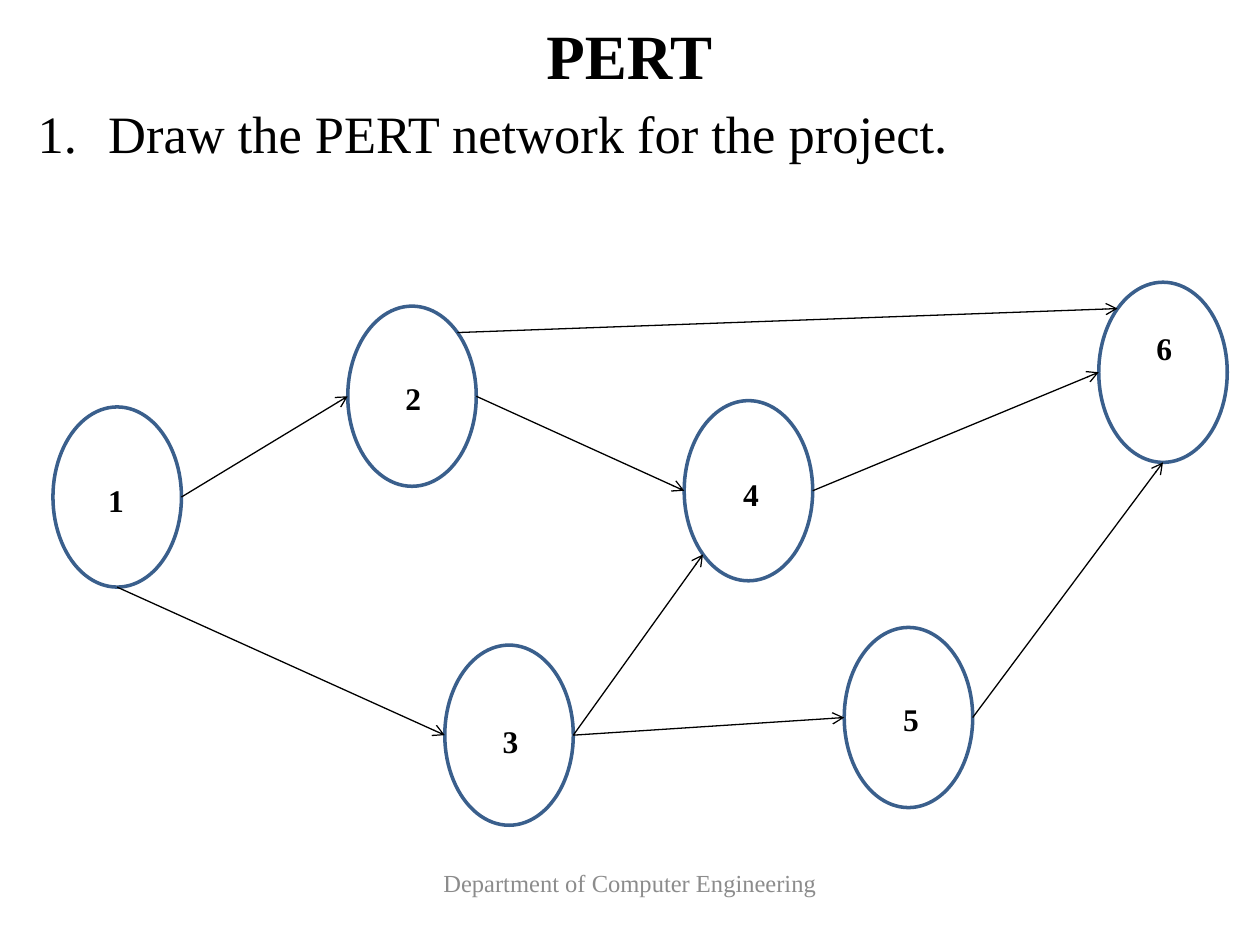
"""Build a slide showing the PERT network of a project."""
from dataclasses import dataclass

from lxml import etree
from pptx import Presentation
from pptx.dml.color import RGBColor
from pptx.enum.shapes import MSO_CONNECTOR, MSO_SHAPE
from pptx.enum.text import MSO_ANCHOR, MSO_AUTO_SIZE, PP_ALIGN
from pptx.oxml.ns import qn
from pptx.util import Inches, Pt

ELLIPSE = MSO_SHAPE.OVAL
STRAIGHT = MSO_CONNECTOR.STRAIGHT
MIDDLE, TOP = MSO_ANCHOR.MIDDLE, MSO_ANCHOR.TOP
CENTER, JUSTIFY, LEFT = PP_ALIGN.CENTER, PP_ALIGN.JUSTIFY, PP_ALIGN.LEFT
GROW = MSO_AUTO_SIZE.SHAPE_TO_FIT_TEXT
NO_FIT = MSO_AUTO_SIZE.NONE

BLACK = RGBColor(0x00, 0x00, 0x00)
WHITE = RGBColor(0xFF, 0xFF, 0xFF)
GRAY = RGBColor(0x8C, 0x8C, 0x8C)
BLUE = RGBColor(0x3A, 0x5F, 0x8C)
FONT = "Times New Roman"

SLIDE_W, SLIDE_H = Inches(10), Inches(7.5)
COL, ROW = SLIDE_W / 100, SLIDE_H / 75
NODE_W, NODE_H = 10.2, 14.3
LABEL_W, LABEL_H = 3.3, 4
DIAGONAL = 0.5 ** 0.5
SIDES = {
    "left": (-1, 0),
    "right": (1, 0),
    "bottom": (0, 1),
    "top left": (-DIAGONAL, -DIAGONAL),
    "top right": (DIAGONAL, -DIAGONAL),
    "bottom left": (-DIAGONAL, DIAGONAL),
}


@dataclass(frozen=True)
class Node:
    """An event: its left column, top row and label offset inside it."""
    col: float
    row: float
    label_col: float = 3.6
    label_row: float = 5.4

    def point(self, side: str) -> tuple[int, int]:
        """Return the position of one side of the ellipse."""
        dx, dy = SIDES[side]
        return (round((self.col + NODE_W * (1 + dx) / 2) * COL),
                round((self.row + NODE_H * (1 + dy) / 2) * ROW))


@dataclass(frozen=True)
class Activity:
    """An arrow from a side of one event to a side of another."""
    start: int
    start_side: str
    end: int
    end_side: str


NODES = {
    1: Node(4.2, 32.3, 3.4),
    2: Node(27.6, 24.3, label_row=5.3),
    3: Node(35.3, 51.2, label_row=5.6),
    4: Node(54.3, 31.8, 3.7),
    5: Node(67, 49.8, 3.7, 5.3),
    6: Node(87.2, 22.4, label_row=3.2),
}
ACTIVITIES = [
    Activity(1, "right", 2, "left"),
    Activity(1, "bottom", 3, "left"),
    Activity(2, "right", 4, "left"),
    Activity(3, "right", 4, "bottom left"),
    Activity(3, "right", 5, "left"),
    Activity(4, "right", 6, "left"),
    Activity(2, "top right", 6, "top left"),
    Activity(5, "right", 6, "bottom"),
]


def box(col: float, row: float, cols: float, rows: float) -> tuple[int, ...]:
    """Turn grid units into left, top, width and height."""
    return (round(col * COL), round(row * ROW),
            round(cols * COL), round(rows * ROW))


def write(sp, text: str, size: float, color: RGBColor = BLACK,
          bold: bool = False, align=LEFT, anchor=TOP, fit=NO_FIT):
    """Set the text of a shape, format it and return its paragraph."""
    tf = sp.text_frame
    tf.text = text
    tf.word_wrap = True
    tf.auto_size = fit
    tf.vertical_anchor = anchor
    p = tf.paragraphs[0]
    p.alignment = align
    font = p.runs[0].font
    font.name, font.size, font.bold = FONT, Pt(size), bold
    font.color.rgb = color
    return p


def number(p) -> None:
    """Give a paragraph an automatic number and a hanging indent."""
    p_pr = p._p.get_or_add_pPr()
    p_pr.set("marL", str(Inches(0.56)))
    p_pr.set("indent", str(-Inches(0.56)))
    etree.SubElement(p_pr, qn("a:buFont"), typeface="+mj-lt")
    etree.SubElement(p_pr, qn("a:buAutoNum"), type="arabicPeriod")
    p.line_spacing = 0.9


def draw_node(s, node: Node) -> None:
    """Draw the ellipse of an event."""
    sp = s.shapes.add_shape(ELLIPSE, *box(node.col, node.row, NODE_W, NODE_H))
    sp.shadow.inherit = False
    sp.fill.solid()
    sp.fill.fore_color.rgb = WHITE
    sp.line.color.rgb = BLUE
    sp.line.width = Pt(2)


def draw_label(s, name: int, node: Node) -> None:
    """Write the number of an event."""
    place = box(node.col + node.label_col, node.row + node.label_row,
                LABEL_W, LABEL_H)
    write(s.shapes.add_textbox(*place), str(name), 18, bold=True, fit=GROW)


def draw_activity(s, activity: Activity) -> None:
    """Draw the arrow of an activity."""
    start = NODES[activity.start].point(activity.start_side)
    end = NODES[activity.end].point(activity.end_side)
    arrow = s.shapes.add_connector(STRAIGHT, *start, *end)
    arrow.line.color.rgb = BLACK
    arrow.line.width = Pt(0.75)
    etree.SubElement(arrow.line._get_or_add_ln(), qn("a:tailEnd"), type="arrow")
    etree.SubElement(arrow._element.spPr, qn("a:effectLst"))


def main() -> None:
    """Build and save the slide."""
    prs = Presentation()
    prs.slide_width, prs.slide_height = SLIDE_W, SLIDE_H
    s = prs.slides.add_slide(prs.slide_layouts[5])

    title = s.shapes.title
    title.left, title.top, title.width, title.height = box(2.9, 0.7, 94.1, 7.2)
    write(title, "PERT", 36, bold=True, align=CENTER, anchor=MIDDLE)

    footer = s.shapes.add_textbox(*box(33.1, 66.6, 33.8, 6.9))
    write(footer, "Department of Computer Engineering", 14, GRAY,
          align=CENTER, anchor=MIDDLE)

    task = s.shapes.add_textbox(*box(2, 8.1, 96.1, 62.8))
    number(write(task, "Draw the PERT network for the project.", 30,
                 align=JUSTIFY))

    for node in NODES.values():
        draw_node(s, node)
    for name, node in NODES.items():
        draw_label(s, name, node)
    for activity in ACTIVITIES:
        draw_activity(s, activity)

    prs.save("out.pptx")


if __name__ == "__main__":
    main()
